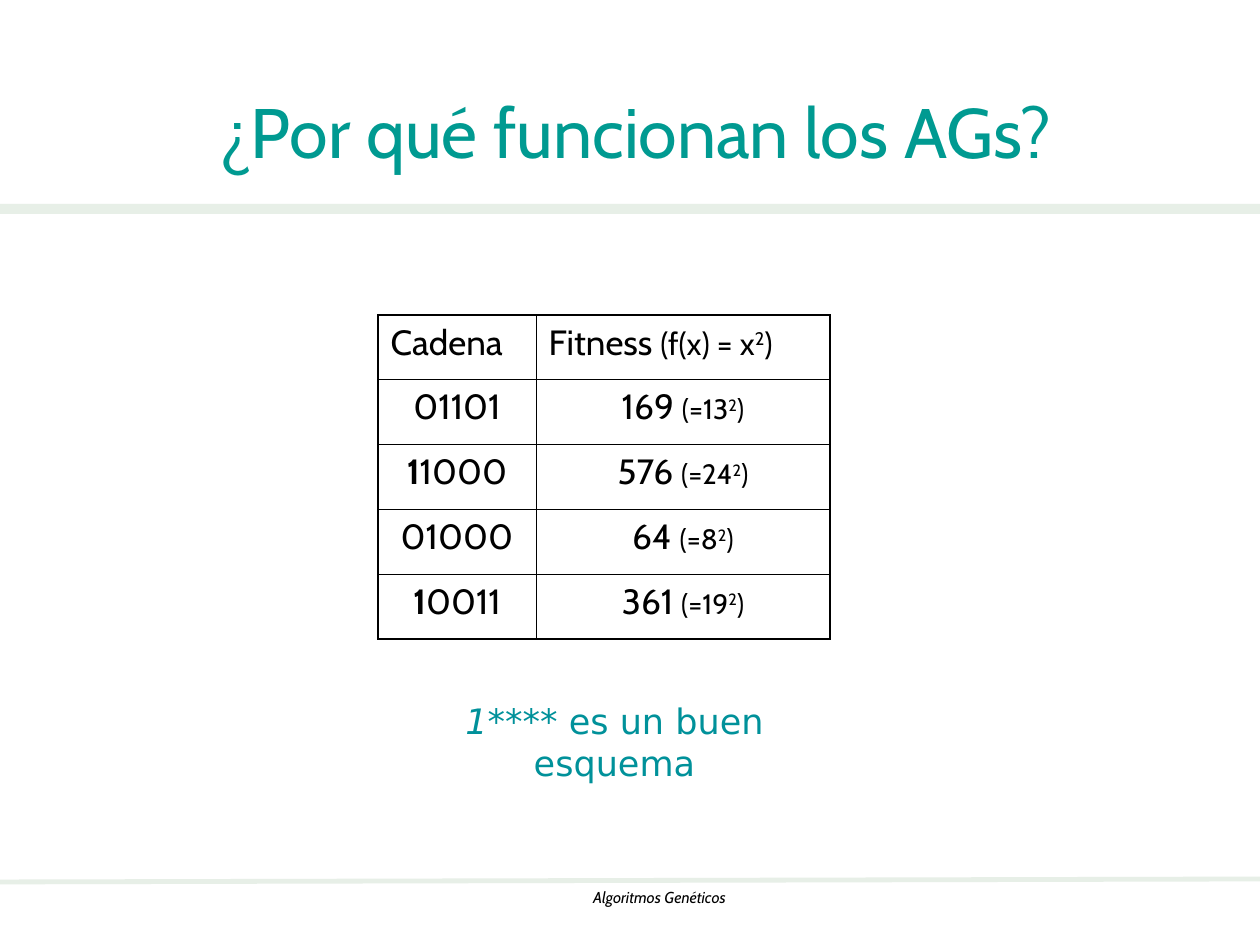
from pptx import Presentation, util as u
from pptx.dml.color import RGBColor
from pptx.enum import shapes, text
from pptx.oxml.ns import qn
from lxml import etree

PX = 914400 // 126
BLACK = RGBColor(0x00, 0x00, 0x00)
TITLE_TEAL = RGBColor(0x00, 0x9A, 0x91)
NOTE_TEAL = RGBColor(0x00, 0x91, 0x9A)
PALE_GREEN = RGBColor(0xE7, 0xEF, 0xE7)
OUTER, INNER = 1.08, 0.45

# Leading bold digits, other digits, value, number that is squared
STRINGS = [
    ("", "01101", 169, 13),
    ("1", "1000", 576, 24),
    ("", "01000", 64, 8),
    ("1", "0011", 361, 19),
]


def px(*lengths):
    return [u.Emu(length * PX) for length in lengths]


def add_span(para, words, size, color=BLACK, font="Cabin",
             bold=False, italic=False, raised=False):
    span = para.add_run()
    span.text = words
    span.font.name = font
    span.font.size = u.Pt(size)
    span.font.color.rgb = color
    span.font.bold = bold
    span.font.italic = italic
    if raised:
        span.font._element.set("baseline", "30000")


def add_text(page, place, anchor=text.MSO_ANCHOR.TOP):
    """Add a centred text box and return its paragraph."""
    frame = page.shapes.add_textbox(*px(*place)).text_frame
    frame.word_wrap = True
    frame.vertical_anchor = anchor
    para = frame.paragraphs[0]
    para.alignment = text.PP_ALIGN.CENTER
    return para


def add_band(page, place):
    band = page.shapes.add_shape(shapes.MSO_SHAPE.RECTANGLE, *px(*place))
    band.shadow.inherit = False
    band.fill.solid()
    band.fill.fore_color.rgb = PALE_GREEN
    band.line.fill.background()


def add_rule(page, ends):
    rule = page.shapes.add_connector(shapes.MSO_CONNECTOR.STRAIGHT, *px(*ends))
    rule.line.color.rgb = PALE_GREEN
    rule.line.width = u.Pt(2.75)
    etree.SubElement(rule._element.spPr, qn("a:effectLst"))


def set_borders(cell, widths):
    properties = cell._tc.get_or_add_tcPr()
    for position, (side, width) in enumerate(widths.items()):
        border = etree.Element(qn(f"a:ln{side}"), w=str(int(u.Pt(width))))
        fill = etree.SubElement(border, qn("a:solidFill"))
        etree.SubElement(fill, qn("a:srgbClr"), val=str(BLACK))
        properties.insert(position, border)


def add_squared(para, lead, lead_size, start, size):
    add_span(para, lead, lead_size)
    add_span(para, start, size)
    add_span(para, "2", size, raised=True)
    add_span(para, ")", size)


def add_fitness_table(page):
    last = len(STRINGS)
    frame = page.shapes.add_table(last + 1, 2, *px(378, 315, 452, 324))
    table = frame.table
    table.first_row = table.horz_banding = False
    for column, width in zip(table.columns, px(158, 294)):
        column.width = width

    # Plain cells with a heavier outer frame
    for row in range(last + 1):
        for col in range(2):
            cell = table.cell(row, col)
            cell.fill.background()
            set_borders(cell, {
                "L": OUTER if col == 0 else INNER,
                "R": OUTER if col == 1 else INNER,
                "T": OUTER if row == 0 else INNER,
                "B": OUTER if row == last else INNER,
            })
            para = cell.text_frame.paragraphs[0]
            para.space_before = u.Pt(5 if col == 0 else 4 if row else 4.5)
            if row:
                para.alignment = text.PP_ALIGN.CENTER

    # Header
    add_span(table.cell(0, 0).text_frame.paragraphs[0], "Cadena", 20)
    add_squared(table.cell(0, 1).text_frame.paragraphs[0],
                "Fitness ", 20, "(f(x) = x", 18)

    # Strings and their fitness
    for row, (strong, digits, value, base) in enumerate(STRINGS, start=1):
        para = table.cell(row, 0).text_frame.paragraphs[0]
        if strong:
            add_span(para, strong, 20, bold=True)
        add_span(para, digits, 20)
        add_squared(table.cell(row, 1).text_frame.paragraphs[0],
                    f"{value} ", 20, f"(={base}", 16)


def main():
    deck = Presentation()
    deck.slide_width, deck.slide_height = px(1260, 945)
    page = deck.slides.add_slide(deck.slide_layouts[6])

    # Rules and footer
    add_rule(page, (0, 882, 1260, 879))
    add_band(page, (0, 204, 1260, 10))
    footer = add_text(page, (292, 882, 735, 32))
    add_span(footer, "Algoritmos Genéticos", 9, italic=True)

    # Title
    title = add_text(page, (84, 66, 1103, 129), text.MSO_ANCHOR.MIDDLE)
    add_span(title, "¿Por qué funcionan los AGs?", 40, TITLE_TEAL)

    add_fitness_table(page)

    # Conclusion
    note = add_text(page, (377, 693, 475, 55))
    add_span(note, "1****", 20, NOTE_TEAL, "DejaVu Sans", italic=True)
    add_span(note, " es un buen esquema", 20, NOTE_TEAL, "DejaVu Sans")

    deck.save("out.pptx")


if __name__ == "__main__":
    main()
